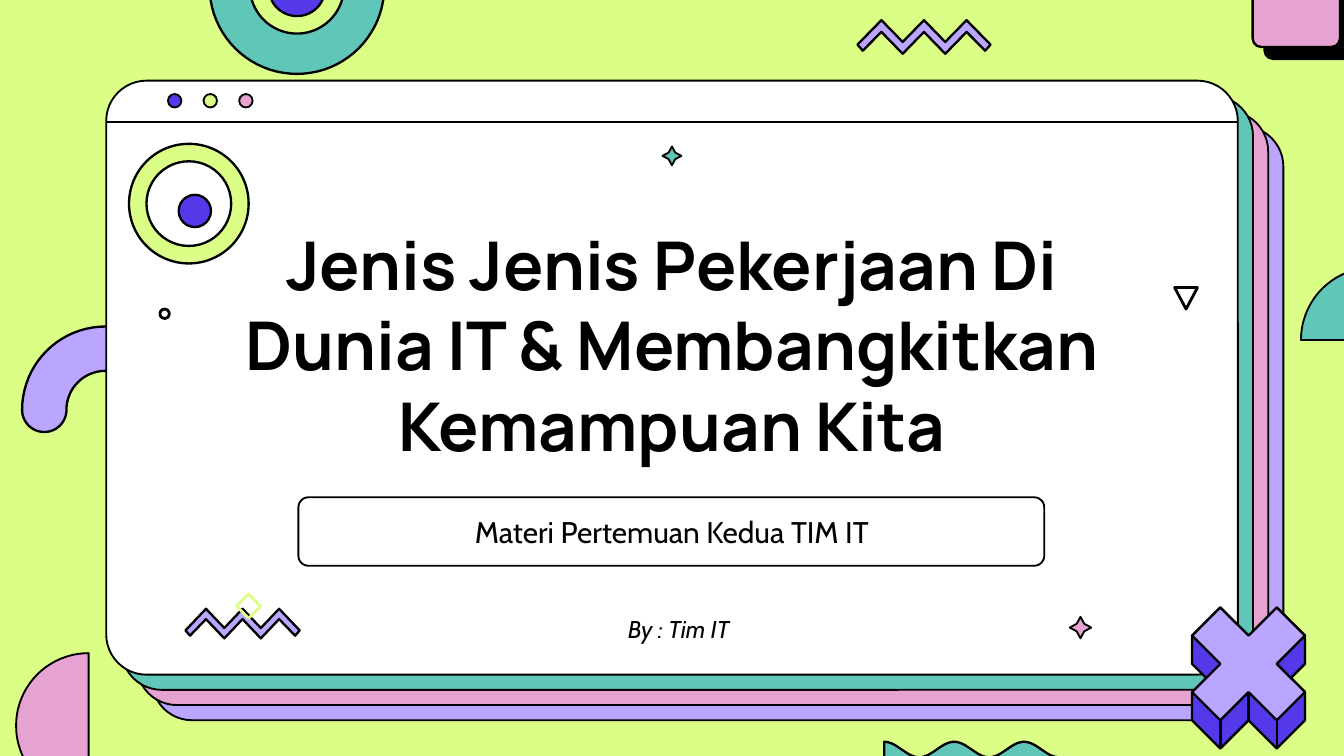
from math import cos, pi, radians, sin

from lxml import etree
from pptx import Presentation
from pptx.dml.color import RGBColor
from pptx.enum.shapes import MSO_CONNECTOR, MSO_SHAPE
from pptx.enum.text import MSO_ANCHOR, PP_ALIGN
from pptx.oxml.ns import qn
from pptx.util import Inches, Pt

STRAIGHT = MSO_CONNECTOR.STRAIGHT
ROUNDED = MSO_SHAPE.ROUNDED_RECTANGLE
OVAL = MSO_SHAPE.OVAL
DONUT = MSO_SHAPE.DONUT
STAR = MSO_SHAPE.STAR_4_POINT
DIAMOND = MSO_SHAPE.DIAMOND
TRIANGLE_DOWN = MSO_SHAPE.FLOWCHART_MERGE
CENTER = PP_ALIGN.CENTER
MIDDLE = MSO_ANCHOR.MIDDLE

BLACK, WHITE = "000000", "FFFFFF"
LIME, TEAL, PINK = "DBFE87", "60C7B8", "E6A2D0"
LILAC, VIOLET = "BAA5FF", "5339EA"


def rgb(color):
    return RGBColor.from_string(color)


def paint(shape, fill, line=BLACK, width=1.25):
    shape.shadow.inherit = False
    if fill:
        shape.fill.solid()
        shape.fill.fore_color.rgb = rgb(fill)
    else:
        shape.fill.background()
    shape.line.color.rgb = rgb(line)
    shape.line.width = Pt(width)


def add_preset(slide, kind, box, fill, line=BLACK, width=1.25, adjust=None):
    shape = slide.shapes.add_shape(kind, *map(Inches, box))
    if adjust is not None:
        shape.adjustments[0] = adjust
    paint(shape, fill, line, width)
    return shape


def add_outline(slide, points, fill, width=1.25):
    start, *rest = [(Inches(x), Inches(y)) for x, y in points]
    builder = slide.shapes.build_freeform(*start, scale=1.0)
    builder.add_line_segments(rest, close=True)
    paint(builder.convert_to_shape(), fill, width=width)


def add_line(slide, x1, y1, x2, y2, width=1):
    line = slide.shapes.add_connector(STRAIGHT, *map(Inches, (x1, y1, x2, y2)))
    line.line.color.rgb = rgb(BLACK)
    line.line.width = Pt(width)
    etree.SubElement(line.element.spPr, qn("a:effectLst"))


def arc(cx, cy, radius, start, end, steps=40):
    """Points of an arc; degrees run clockwise from the right."""
    angles = [radians(start + (end - start) * i / steps) for i in range(steps + 1)]
    return [(cx + radius * cos(a), cy + radius * sin(a)) for a in angles]


def add_hook(slide, cx, cy, outer, inner):
    middle, cap = (outer + inner) / 2, (outer - inner) / 2
    points = (arc(cx, cy, outer, 180, 360) + arc(cx + middle, cy, cap, 0, 180)
              + arc(cx, cy, inner, 360, 180) + arc(cx - middle, cy, cap, 0, 180))
    add_outline(slide, points, LILAC)


def add_window(slide, left, top, width, height):
    step = 0.113
    for depth, color in ((3, LILAC), (2, PINK), (1, TEAL), (0, WHITE)):
        box = (left + depth * step, top + depth * step, width, height)
        add_preset(slide, ROUNDED, box, color, width=1, adjust=0.068)
    add_line(slide, left, top + 0.31, left + width, top + 0.31)
    for i, color in enumerate((VIOLET, LIME, PINK)):
        box = (left + 0.46 + i * 0.265, top + 0.1, 0.1, 0.1)
        add_preset(slide, OVAL, box, color, width=1)


def add_zigzag(slide, left, top, width, height):
    xs = (0.18, 0.34, 0.5, 0.66, 0.82)
    upper = list(zip(xs, (0, 0.65, 0, 0.65, 0)))
    lower = [(x, y + 0.35) for x, y in reversed(upper)]
    outline = [(0, 0.73), *upper, (1, 0.73), (0.96, 0.91), *lower, (0.04, 0.91)]
    add_outline(slide, [(left + x * width, top + y * height) for x, y in outline], LILAC)


def add_wave(slide, left, top, width, height):
    steps, periods = 80, 2.5
    crest = [(left + width * i / steps,
              top + height / 4 * (1 - cos(2 * pi * periods * i / steps)))
             for i in range(steps + 1)]
    trough = [(x, y + height / 2) for x, y in reversed(crest)]
    add_outline(slide, crest + trough, TEAL)


def add_cross(slide, cx, cy, unit):
    """Extruded X, drawn on a grid of the given unit around its centre."""
    half_front = [(0, -1), (1, -2), (2, -1), (1, 0), (2, 1), (1, 2), (0, 1)]
    half_body = [(0, -1), (1, -2), (2, -1), (2, 0), (1.5, 0.5),
                 (2, 1), (2, 2), (1, 3), (0, 2)]
    for half, color in ((half_body, VIOLET), (half_front, LILAC)):
        outline = half + [(-x, y) for x, y in half[-2:0:-1]]
        add_outline(slide, [(cx + x * unit, cy + y * unit) for x, y in outline], color)
    for x, y in ((-1, 2), (0, 1), (1, 2)):
        edge_x, edge_y = cx + x * unit, cy + y * unit
        add_line(slide, edge_x, edge_y, edge_x, edge_y + unit, 1.25)


def add_shadowed_square(slide, left, top, size):
    square = add_preset(slide, ROUNDED, (left, top, size, size), PINK, adjust=0.1)
    effects = square.element.spPr.find(qn("a:effectLst"))
    shadow = etree.SubElement(effects, qn("a:outerShdw"), dist=str(Pt(9)),
                              dir="2700000", algn="bl", rotWithShape="0")
    etree.SubElement(shadow, qn("a:srgbClr"), val=BLACK)


def add_eye(slide, left, top, size):
    add_preset(slide, DONUT, (left, top, size, size), LIME, adjust=0.146)
    add_preset(slide, OVAL, (left + 0.37, top + 0.38, 0.24, 0.24), VIOLET)


def add_edge_decor(slide):
    ring = arc(2.21, -0.1, 0.65, 0, 180) + arc(2.21, -0.1, 0.35, 180, 0)
    add_outline(slide, ring, TEAL)
    add_outline(slide, arc(2.21, -0.09, 0.21, 0, 180), VIOLET)
    add_outline(slide, arc(0.66, 5.4, 0.54, 90, 270), PINK, 1)
    add_outline(slide, arc(10.22, 2.53, 0.54, 180, 360), TEAL, 1)
    add_shadowed_square(slide, 9.32, -0.3, 0.65)
    add_zigzag(slide, 6.38, 0.15, 0.99, 0.25)
    add_wave(slide, 6.58, 5.52, 1.3, 0.23)
    add_cross(slide, 9.29, 4.94, 0.21)


def add_window_decor(slide):
    add_eye(slide, 0.96, 1.07, 0.89)
    add_preset(slide, STAR, (7.96, 4.59, 0.16, 0.16), PINK, width=1, adjust=0.25)
    add_preset(slide, STAR, (4.93, 1.09, 0.14, 0.14), TEAL, width=1, adjust=0.25)
    add_zigzag(slide, 1.38, 4.53, 0.85, 0.22)
    add_preset(slide, TRIANGLE_DOWN, (8.74, 2.14, 0.17, 0.16), None, width=1.5)
    add_preset(slide, DIAMOND, (1.76, 4.42, 0.18, 0.18), None, LIME, 1.5)
    add_preset(slide, OVAL, (1.19, 2.3, 0.07, 0.07), None, width=1.5)


def write(shape, box, text, font, size, spacing=1.0, bold=False, italic=False):
    """Place a text shape in front of everything drawn so far and fill it."""
    shape.element.getparent().append(shape.element)
    shape.left, shape.top, shape.width, shape.height = map(Inches, box)
    frame = shape.text_frame
    frame.word_wrap = True
    frame.vertical_anchor = MIDDLE
    frame.margin_top = frame.margin_bottom = 0
    frame.text = text
    paragraph = frame.paragraphs[0]
    paragraph.alignment = CENTER
    paragraph.line_spacing = spacing
    paragraph.space_before = Pt(0)
    run_font = paragraph.runs[0].font
    run_font.name, run_font.size = font, Pt(size)
    run_font.bold, run_font.italic = bold, italic
    run_font.color.rgb = rgb(BLACK)


def add_texts(slide):
    title, subtitle = slide.placeholders
    write(title, (1.37, 1.4, 7.26, 2.32),
          "Jenis Jenis Pekerjaan Di Dunia IT & Membangkitkan Kemampuan Kita",
          "Manrope", 36, bold=True)
    add_preset(slide, ROUNDED, (2.22, 3.7, 5.55, 0.51), None, width=1, adjust=0.147)
    write(subtitle, (1.57, 3.78, 6.86, 0.39), "Materi Pertemuan Kedua TIM IT",
          "Cabin", 16, spacing=0.9)
    box = (2.54, 4.52, 5.02, 0.32)
    author = slide.shapes.add_textbox(*map(Inches, box))
    write(author, box, "By : Tim IT", "Cabin", 13, italic=True)


def main():
    deck = Presentation()
    deck.slide_width = Inches(10)
    deck.slide_height = deck.slide_width * 9 // 16
    slide = deck.slides.add_slide(deck.slide_layouts[0])
    slide.background.fill.solid()
    slide.background.fill.fore_color.rgb = rgb(LIME)
    add_hook(slide, 0.785, 3.05, 0.62, 0.29)
    add_window(slide, 0.79, 0.6, 8.42, 4.42)
    add_edge_decor(slide)
    add_window_decor(slide)
    add_texts(slide)
    deck.save("out.pptx")


if __name__ == "__main__":
    main()
